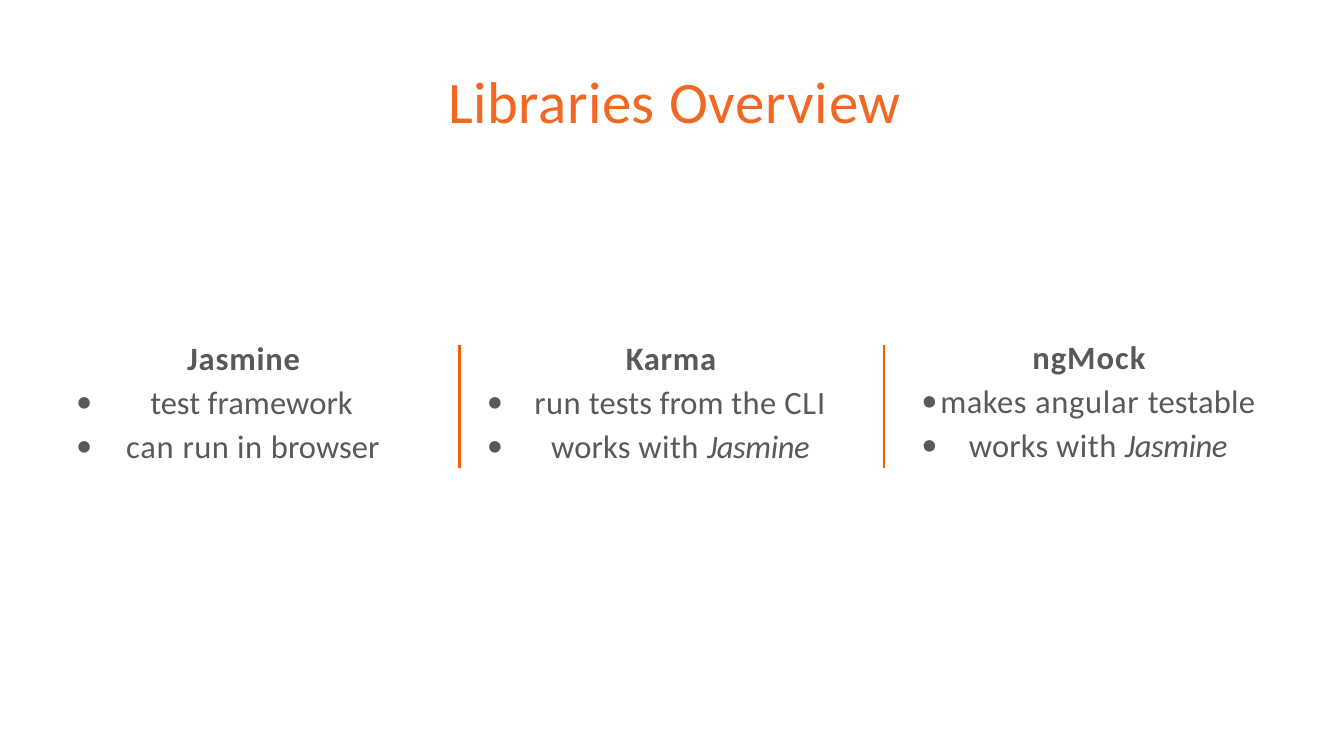
from pptx import Presentation
from pptx.dml.color import RGBColor
from pptx.enum.shapes import MSO_CONNECTOR
from pptx.oxml.ns import qn
from pptx.util import Cm, Pt
from lxml import etree

STRAIGHT = MSO_CONNECTOR.STRAIGHT
ORANGE = RGBColor(0xF2, 0x67, 0x22)
DIVIDER_ORANGE = RGBColor(0xF4, 0x5D, 0x00)
GRAY = RGBColor(0x58, 0x59, 0x5B)
BULLET_OFFSET = 0.05


class SlideBuilder:
    font = "Calibri"
    title_size = Pt(56)
    body_size = Pt(31)

    def __init__(self, slide):
        self.slide = slide

    def divider(self, left, top, height):
        line = self.slide.shapes.add_connector(
            STRAIGHT, Cm(left), Cm(top), Cm(left), Cm(top + height))
        line.line.color.rgb = DIVIDER_ORANGE
        line.line.width = Pt(2)
        etree.SubElement(line._element.spPr, qn("a:effectLst"))

    def text_box(self, left, top, width, height):
        shape = self.slide.shapes.add_textbox(Cm(left), Cm(top), Cm(width), Cm(height))
        frame = shape.text_frame
        frame.word_wrap = True
        frame.margin_left = frame.margin_top = frame.margin_right = frame.margin_bottom = 0
        return frame

    def add_runs(self, paragraph, indent, pieces, size, color, bold=False):
        paragraph._p.get_or_add_pPr().set("marL", str(Cm(indent)))
        for text, spacing in pieces:
            run = paragraph.add_run()
            run.text = text
            run.font.name = self.font
            run.font.size = size
            run.font.color.rgb = color
            run.font.bold = bold
            run.font.italic = text == "Jasmine" and not bold
            run._r.get_or_add_rPr().set("spc", str(round(spacing * 100)))

    def title(self, left, top, width, height, indent, pieces):
        frame = self.text_box(left, top, width, height)
        self.add_runs(frame.paragraphs[0], indent, pieces, self.title_size, ORANGE)

    def column(self, left, top, width, height, heading, bullets):
        frame = self.text_box(left, top, width, height)
        indent, name, spacing = heading
        self.add_runs(frame.paragraphs[0], indent, [(name, spacing)], self.body_size, GRAY, True)
        for indent, pieces in bullets:
            paragraph = frame.add_paragraph()
            paragraph.space_before = Pt(4.7)
            self.add_runs(paragraph, indent, pieces, self.body_size, GRAY)
            properties = paragraph._p.get_or_add_pPr()
            properties.set("indent", str(Cm(BULLET_OFFSET - indent)))
            bullet_font = etree.SubElement(properties, qn("a:buFont"))
            bullet_font.set("typeface", self.font)
            etree.SubElement(properties, qn("a:buChar")).set("char", "•")


WORKS_WITH = [("works ", 0.2), ("with ", 0.5), ("Jasmine", -0.4)]
COLUMNS = [
    (2.51, 11.35, 10.26, (3.78, "Jasmine", 0.8), [
        (2.54, [("test ", 0), ("framework", 0.1)]),
        (1.73, [("can ", 0.7), ("run ", 0.4), ("in ", 0.6), ("browser", 0.1)]),
    ]),
    (16.31, 11.35, 11.46, (4.72, "Karma", 0.7), [
        (1.65, [("run ", 0.4), ("tests from ", 0.1), ("the ", 0.3), ("CLI", 0.9)]),
        (2.21, WORKS_WITH),
    ]),
    (30.91, 11.33, 11.3, (3.78, "ngMock", 1), [
        (0.69, [("makes ", 0.5), ("angular ", 0.7), ("testable", 0.2)]),
        (1.65, WORKS_WITH),
    ]),
]

presentation = Presentation()
presentation.slide_width = Cm(45.16)
presentation.slide_height = Cm(25.4)
builder = SlideBuilder(presentation.slides.add_slide(presentation.slide_layouts[6]))

for divider_left in (15.44, 29.69):
    builder.divider(divider_left, 11.59, 4.15)
builder.title(12.34, 2.16, 20.5, 2.41, 2.74, [("Libraries ", 0.4), ("Overview", 0.8)])
for left, top, width, heading, bullets in COLUMNS:
    builder.column(left, top, width, 4.32, heading, bullets)

presentation.save("out.pptx")
